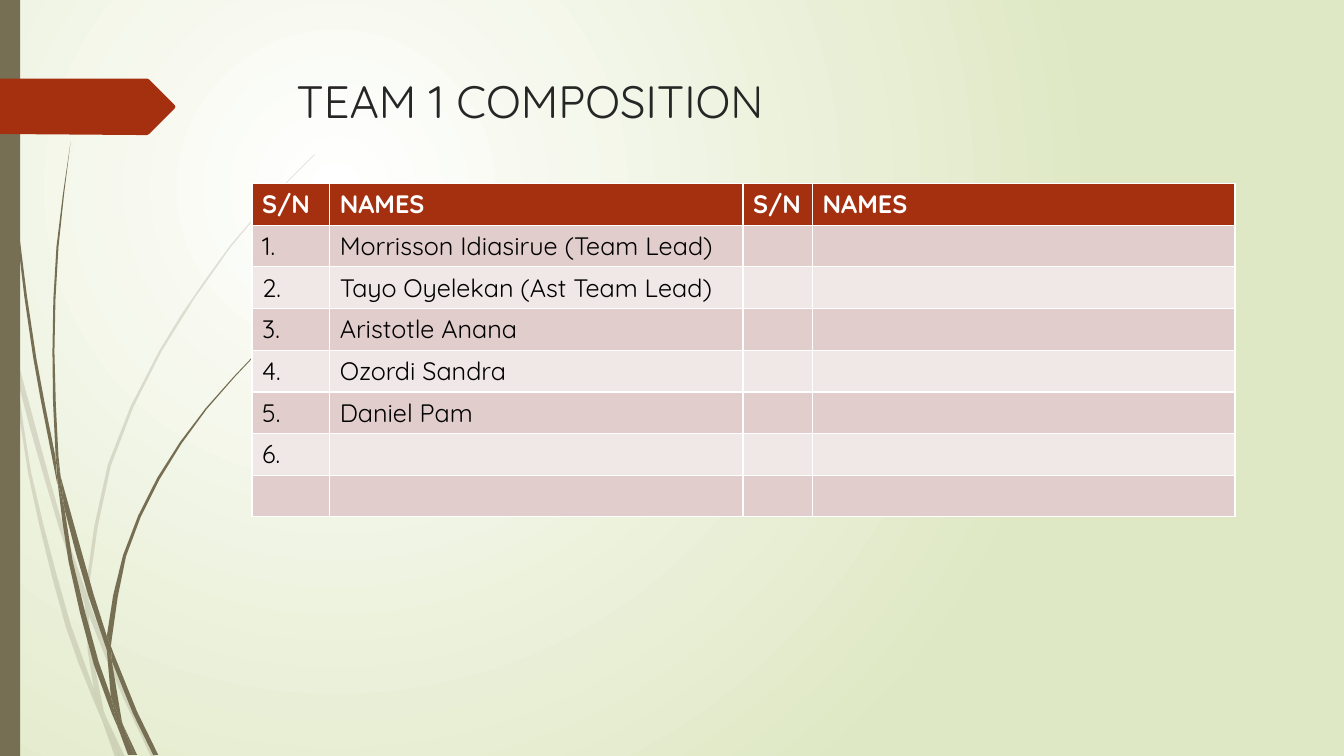
from dataclasses import dataclass
from math import hypot

from lxml.etree import SubElement
from pptx import Presentation
from pptx.dml.color import RGBColor
from pptx.enum.shapes import MSO_SHAPE
from pptx.enum.text import MSO_ANCHOR, MSO_AUTO_SIZE, PP_ALIGN
from pptx.oxml.ns import qn
from pptx.util import Inches, Pt

# The slide is a grid of 1333 columns by 750 rows
COLUMNS, ROWS = 1333, 750
CELL = Inches(0.01)
LONGEST_STEP = 50

OLIVE, RUST, WHITE = "766F54", "A53010", "FFFFFF"
BANDS = ("F0E8E7", "E1CDCC")
FONT = "Quicksand"

Point = tuple[float, float]
Edge = tuple[Point, ...]


@dataclass(frozen=True)
class Blade:
    """A piece of grass between the edge going out and the edge coming back."""
    out: Edge
    back: Edge


FAINT_GRASS = (
    Blade(((11, 350), (9, 322), (0, 282)), ((0, 299), (10, 344))),
    Blade(((14, 345), (17, 376), (58, 522), (84, 599)), ((85, 586), (62, 520), (14, 345))),
    Blade(((88, 596), (88, 610), (123, 694), (150, 751)),
          ((155, 751), (127, 692), (92, 607), (88, 596))),
    Blade(((105, 711), (119, 751)), ((124, 751), (105, 711))),
    Blade(((11, 350), (28, 470), (65, 621), (92, 693), (101, 714)),
          ((99, 707), (93, 683), (70, 619), (31, 469), (17, 376), (11, 350))),
    Blade(((84, 599), (87, 646), (93, 683), (96, 692), (105, 711)),
          ((103, 706), (91, 646), (88, 610), (84, 599))),
    Blade(((88, 596), (88, 584), (110, 462), (160, 349), (229, 245), (268, 198),
           (312, 154)),
          ((312, 153), (268, 197), (228, 244), (158, 348), (107, 461), (85, 584),
           (88, 596))),
    Blade(((101, 714), (114, 751)), ((119, 751), (101, 714))),
    Blade(((88, 610), (88, 596)), ((85, 586), (84, 599))),
    Blade(((93, 683), (99, 707), (101, 714), (119, 751)),
          ((119, 751), (105, 711), (96, 692), (93, 683))),
)
DARK_GRASS = (
    Blade(((3, 0), (7, 110), (17, 233), (33, 355), (57, 481)),
          ((55, 453), (36, 355), (19, 232), (8, 109), (4, 0))),
    Blade(((60, 472), (64, 505), (88, 592), (106, 645)),
          ((106, 631), (93, 590), (60, 472))),
    Blade(((110, 641), (111, 656), (132, 708), (152, 749)),
          ((157, 749), (136, 706), (113, 649), (110, 641))),
    Blade(((57, 477), (68, 557), (93, 659), (111, 708), (117, 722)),
          ((116, 717), (110, 691), (98, 657), (72, 556), (64, 505), (57, 477))),
    Blade(((60, 472), (58, 453), (54, 349), (58, 245), (70, 141)),
          ((70, 141), (56, 245), (52, 349), (55, 449), (60, 472))),
    Blade(((122, 719), (133, 749)), ((136, 749), (122, 719))),
    Blade(((57, 477), (64, 505)), ((60, 472), (55, 449))),
    Blade(((111, 633), (125, 552), (158, 476), (205, 406), (261, 344)),
          ((260, 344), (204, 405), (156, 474), (122, 551), (106, 631), (110, 641))),
    Blade(((117, 722), (127, 749)), ((131, 749), (117, 722))),
    Blade(((106, 645), (110, 691), (116, 706), (122, 719)),
          ((121, 716), (111, 656), (106, 645))),
    Blade(((106, 645), (111, 656)), ((110, 641), (106, 631))),
    Blade(((110, 691), (117, 722), (130, 749)),
          ((133, 749), (122, 719), (116, 706), (110, 691))),
)
PENNANT = ((0, 78), (146, 78), (148, 79), (173, 104), (174, 106), (173, 108),
           (148, 133), (146, 134), (136, 134), (0, 133))

HEADINGS = ("S/N", "NAMES", "S/N", "NAMES")
MEMBERS = ("Morrisson Idiasirue (Team Lead)", "Tayo Oyelekan (Ast Team Lead)",
           "Aristotle Anana", "Ozordi Sandra", "Daniel Pam", "")
COLUMN_WIDTHS = (77, 410, 69, 419)
TABLE_ROWS, ROW_HEIGHT = 8, 40.5


def grid(cells: float) -> int:
    return round(cells * CELL)


def colour(value: str) -> RGBColor:
    return RGBColor.from_string(value)


def paint(part, value: str) -> None:
    part.fill.solid()
    part.fill.fore_color.rgb = colour(value)


def finish(shape, value: str) -> None:
    paint(shape, value)
    shape.line.fill.background()
    shape.shadow.inherit = False


def format_font(font, size: float, value: str, bold: bool = False) -> None:
    for name, setting in {"name": FONT, "size": Pt(size), "bold": bold}.items():
        setattr(font, name, setting)
    font.color.rgb = colour(value)


def smooth(edge: Edge) -> list[Point]:
    """Points on a curve through the knots of an edge, more on longer spans."""
    directions = []
    for i in range(len(edge)):
        (x0, y0), (x1, y1) = edge[max(i - 1, 0)], edge[min(i + 1, len(edge) - 1)]
        length = hypot(x1 - x0, y1 - y0)
        directions.append(((x1 - x0) / length, (y1 - y0) / length))
    points = [edge[0]]
    for start, end, leave, arrive in zip(edge, edge[1:], directions, directions[1:]):
        reach = hypot(end[0] - start[0], end[1] - start[1])
        steps = max(1, round(reach / LONGEST_STEP))
        for step in range(1, steps + 1):
            t = step / steps
            ease = t * t * (3 - 2 * t)
            points.append(tuple(
                start[k] + (end[k] - start[k]) * ease
                + reach * (leave[k] * t * (1 - t) ** 2 - arrive[k] * t * t * (1 - t))
                for k in (0, 1)))
    return points


def draw_outline(slide, points, value: str):
    first, *rest = [(grid(x), grid(y)) for x, y in points]
    builder = slide.shapes.build_freeform(*first)
    builder.add_line_segments(rest, close=True)
    shape = builder.convert_to_shape()
    finish(shape, value)
    return shape


def draw_grass(slide, blades: tuple[Blade, ...], opacity: int) -> None:
    for blade in blades:
        shape = draw_outline(slide, smooth(blade.out) + smooth(blade.back), OLIVE)
        if opacity < 100:
            tint = shape.element.spPr.find(f"{qn('a:solidFill')}/{qn('a:srgbClr')}")
            SubElement(tint, qn("a:alpha"), val=str(opacity * 1000))


def draw_background(slide) -> None:
    fill = slide.background.fill
    fill.gradient()
    for stop, value in zip(fill.gradient_stops, (WHITE, "DFE8C4")):
        stop.color.rgb = colour(value)
    gradient = slide.element.find(".//" + qn("a:gradFill"))
    gradient.remove(gradient.find(qn("a:lin")))
    glow = SubElement(gradient, qn("a:path"), path="circle")
    SubElement(glow, qn("a:fillToRect"), l="50000", t="50000", r="100000", b="100000")


def draw_title(slide) -> None:
    title = slide.shapes.title
    title.left, title.top, title.width, title.height = map(grid, (284, 68, 975, 59))
    frame = title.text_frame
    frame.text = "TEAM 1 COMPOSITION"
    for name, setting in {"auto_size": MSO_AUTO_SIZE.NONE, "word_wrap": True,
                          "vertical_anchor": MSO_ANCHOR.TOP}.items():
        setattr(frame, name, setting)
    frame.paragraphs[0].alignment = PP_ALIGN.LEFT
    format_font(frame.paragraphs[0].runs[0].font, 32.4, "262626")


def draw_team(slide) -> None:
    entries = [HEADINGS] + [(f"{n}.", name) for n, name in enumerate(MEMBERS, 1)]
    team = slide.shapes.add_table(
        TABLE_ROWS, len(HEADINGS), grid(250), grid(182),
        grid(sum(COLUMN_WIDTHS)), grid(TABLE_ROWS * ROW_HEIGHT)).table
    for column, width in zip(team.columns, COLUMN_WIDTHS):
        column.width = grid(width)
    # The default table style supplies the white rules between cells
    for r, row in enumerate(team.rows):
        row.height = grid(ROW_HEIGHT)
        for c, cell in enumerate(row.cells):
            paint(cell, BANDS[r % 2] if r else RUST)
            if r < len(entries) and c < len(entries[r]) and entries[r][c]:
                cell.text = entries[r][c]
                format_font(cell.text_frame.paragraphs[0].runs[0].font, 18,
                            "000000" if r else WHITE, bold=r == 0)


def main() -> None:
    deck = Presentation()
    deck.slide_width, deck.slide_height = grid(COLUMNS), grid(ROWS)
    slide = deck.slides.add_slide(deck.slide_layouts[5])
    # Backdrop
    draw_background(slide)
    draw_grass(slide, FAINT_GRASS, 20)
    draw_grass(slide, DARK_GRASS, 100)
    side_bar = slide.shapes.add_shape(MSO_SHAPE.RECTANGLE, 0, 0, grid(20), grid(ROWS))
    finish(side_bar, OLIVE)
    draw_outline(slide, PENNANT, RUST)
    # Content
    draw_title(slide)
    draw_team(slide)
    deck.save("out.pptx")


if __name__ == "__main__":
    main()
